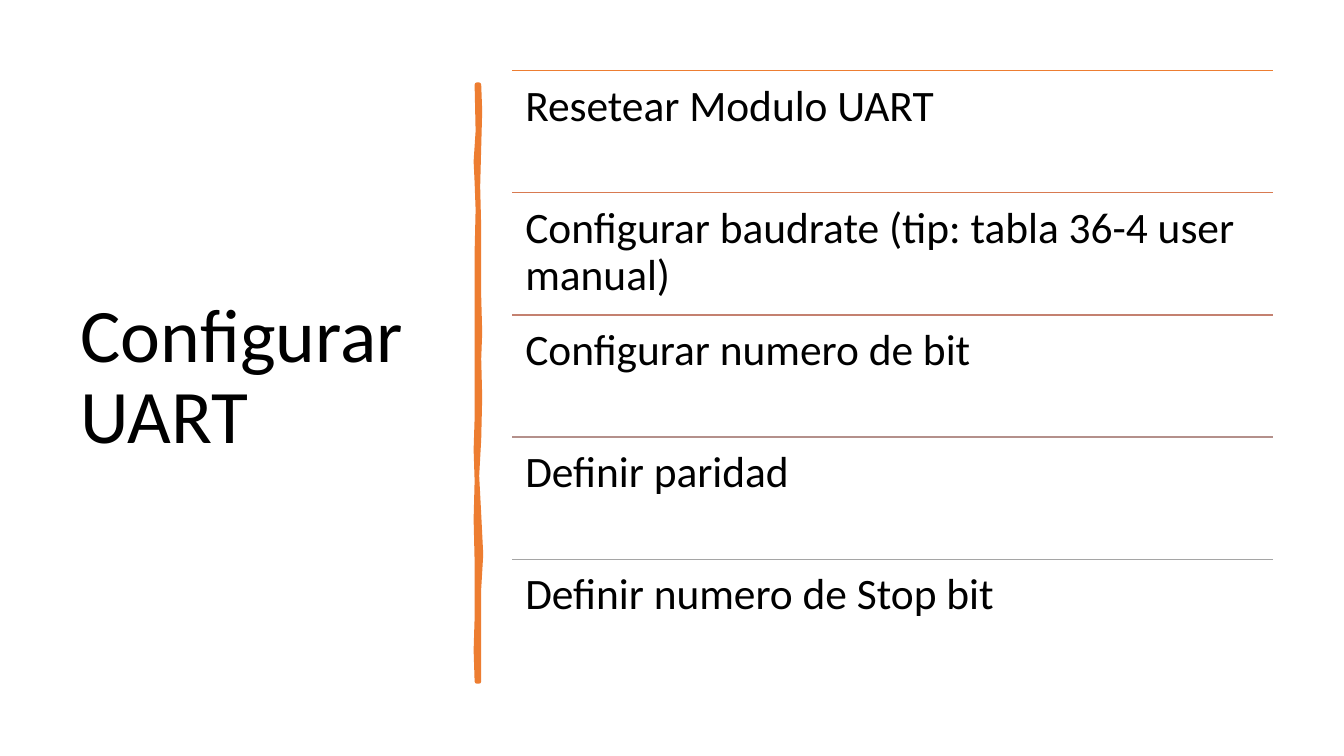
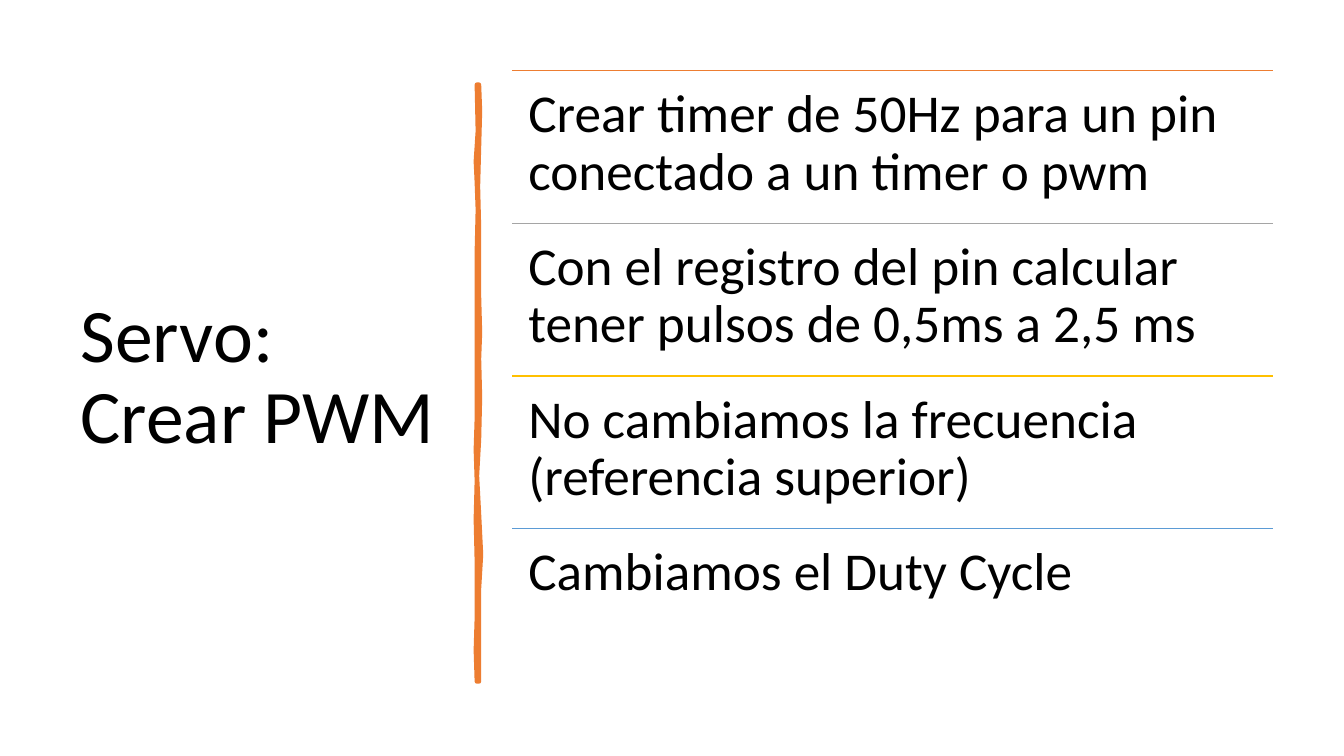
from lxml import etree
from pptx import Presentation
from pptx.dml.color import RGBColor
from pptx.enum.shapes import MSO_CONNECTOR
from pptx.enum.text import MSO_ANCHOR, MSO_AUTO_SIZE, PP_ALIGN
from pptx.oxml.ns import qn
from pptx.util import Inches, Pt

STRAIGHT = MSO_CONNECTOR.STRAIGHT
TOP, MIDDLE = MSO_ANCHOR.TOP, MSO_ANCHOR.MIDDLE
NO_AUTOFIT = MSO_AUTO_SIZE.NONE
LEFT = PP_ALIGN.LEFT

FONT = "Calibri"
BLACK = RGBColor(0x00, 0x00, 0x00)
ORANGE = RGBColor(0xED, 0x7D, 0x31)
COPPER = RGBColor(0xD8, 0x7A, 0x51)
CLAY = RGBColor(0xC4, 0x81, 0x70)
MAUVE = RGBColor(0xB4, 0x90, 0x8B)
GRAY = RGBColor(0xA5, 0xA5, 0xA5)
GOLD = RGBColor(0xFF, 0xC0, 0x00)
BLUE = RGBColor(0x5B, 0x9B, 0xD5)

# Content: title, text size, inset in inches, steps with the colour of their rule
SLIDES = [
    ("Configurar UART", 31, 0.13, [
        ("Resetear Modulo UART", ORANGE),
        ("Configurar baudrate (tip: tabla 36-4 user manual)", COPPER),
        ("Configurar numero de bit", CLAY),
        ("Definir paridad", MAUVE),
        ("Definir numero de Stop bit", GRAY),
    ]),
    ("Servo: Crear PWM", 38, 0.16, [
        ("Crear timer de 50Hz para un pin conectado a un timer o pwm", ORANGE),
        ("Con el registro del pin calcular tener pulsos de 0,5ms a 2,5 ms", GRAY),
        ("No cambiamos la frecuencia (referencia superior)", GOLD),
        ("Cambiamos el Duty Cycle", BLUE),
    ]),
]

# Layout in inches
TITLE_BOX = (0.7, 0.7, 3.74, 6.11)
STEPS_LEFT, STEPS_TOP, STEPS_WIDTH, STEPS_HEIGHT = 5.08, 0.7, 7.55, 6.06

# Hand-drawn divider: down the right edge, then back up the left edge
DIVIDER_OUTLINE = [
    (4.75, 0.84), (4.76, 1.1), (4.75, 1.46), (4.74, 1.85), (4.75, 2.26),
    (4.75, 2.94), (4.76, 3.3), (4.75, 3.56), (4.76, 3.94), (4.75, 4.36),
    (4.73, 4.72), (4.75, 5.1), (4.77, 5.5), (4.75, 5.84), (4.75, 6.76),
    (4.73, 6.76), (4.72, 6.45), (4.73, 6.13), (4.73, 5.57), (4.72, 5.15),
    (4.73, 4.77), (4.72, 4.46), (4.73, 4.15), (4.73, 3.35), (4.73, 2.5),
    (4.74, 2.08), (4.73, 1.81), (4.72, 1.6), (4.74, 1.3), (4.73, 0.84),
]


def write(frame, text, size, anchor):
    frame.text = text
    frame.word_wrap = True
    frame.auto_size = NO_AUTOFIT
    frame.vertical_anchor = anchor
    paragraph = frame.paragraphs[0]
    paragraph.alignment = LEFT
    paragraph.line_spacing = 0.9
    font = paragraph.runs[0].font
    font.name, font.size = FONT, Pt(size)
    font.color.rgb = BLACK


def add_title(slide, text):
    title = slide.shapes.title
    title.left, title.top, title.width, title.height = map(Inches, TITLE_BOX)
    write(title.text_frame, text, 54, MIDDLE)


def add_divider(slide):
    start, *rest = [(Inches(x), Inches(y)) for x, y in DIVIDER_OUTLINE]
    builder = slide.shapes.build_freeform(*start)
    builder.add_line_segments(rest, close=True)
    divider = builder.convert_to_shape()
    divider.shadow.inherit = False
    divider.fill.solid()
    divider.fill.fore_color.rgb = ORANGE
    divider.line.color.rgb = ORANGE
    divider.line.width = Pt(3.25)
    # Round joins
    etree.SubElement(divider._element.spPr.find(qn("a:ln")), qn("a:round"))


def add_steps(slide, steps, size, inset):
    left, width = Inches(STEPS_LEFT), Inches(STEPS_WIDTH)
    row_height = STEPS_HEIGHT / len(steps)
    for row, (text, color) in enumerate(steps):
        top = Inches(STEPS_TOP + row * row_height)
        rule = slide.shapes.add_connector(STRAIGHT, left, top, left + width, top)
        rule.line.color.rgb = color
        rule.line.width = Pt(1)
        etree.SubElement(rule._element.spPr, qn("a:effectLst"))

        step = slide.shapes.add_textbox(left, top, width, Inches(row_height))
        frame = step.text_frame
        frame.margin_left = frame.margin_right = Inches(inset)
        frame.margin_top = frame.margin_bottom = Inches(inset)
        write(frame, text, size, TOP)


def main():
    prs = Presentation()
    prs.slide_width, prs.slide_height = Inches(13.33), Inches(7.5)
    title_only = prs.slide_layouts[5]
    for title, size, inset, steps in SLIDES:
        slide = prs.slides.add_slide(title_only)
        add_title(slide, title)
        add_divider(slide)
        add_steps(slide, steps, size, inset)
    prs.save("out.pptx")


if __name__ == "__main__":
    main()
